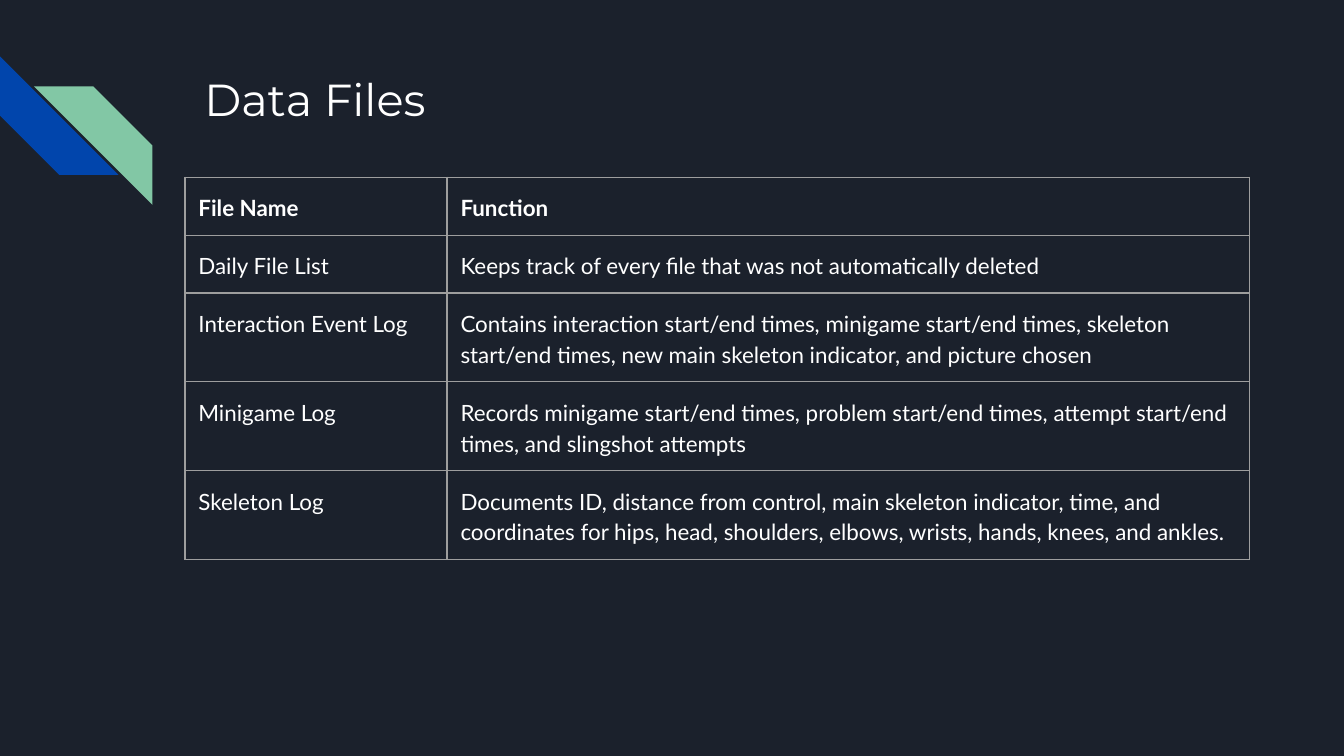
from lxml.etree import SubElement
from pptx import Presentation
from pptx.dml.color import RGBColor
from pptx.enum.shapes import MSO_SHAPE
from pptx.oxml.ns import qn
from pptx.util import Pt

COLORS = {
    "background": "1B212C",
    "blue": "0145AC",
    "green": "82C7A5",
    "text": "FFFFFF",
    "border": "9E9E9E",
}
ROWS = [
    ("File Name", "Function"),
    ("Daily File List", "Keeps track of every file that was not automatically deleted"),
    (
        "Interaction Event Log",
        "Contains interaction start/end times, minigame start/end times, skeleton "
        "start/end times, new main skeleton indicator, and picture chosen",
    ),
    (
        "Minigame Log",
        "Records minigame start/end times, problem start/end times, attempt start/end "
        "times, and slingshot attempts",
    ),
    (
        "Skeleton Log",
        "Documents ID, distance from control, main skeleton indicator, time, and "
        "coordinates for hips, head, shoulders, elbows, wrists, hands, knees, and ankles.",
    ),
]
COLUMN_WIDTHS = [140.4, 429.8]
ROW_HEIGHTS = [31, 31, 47.5, 47.5, 47.5]


class SlideBuilder:
    heading_font = "Montserrat"
    body_font = "Lato"
    inset = Pt(7.2)

    def __init__(self, page):
        self.page = page
        fill = page.background.fill
        fill.solid()
        fill.fore_color.rgb = self.color("background")

    def color(self, name):
        return RGBColor.from_string(COLORS[name])

    def style(self, paragraph, font_name, size, bold=False):
        font = paragraph.font
        font.name = font_name
        font.size = Pt(size)
        font.bold = bold
        font.color.rgb = self.color("text")

    def set_insets(self, holder):
        holder.margin_left = holder.margin_right = self.inset
        holder.margin_top = holder.margin_bottom = self.inset

    def stripe(self, left, top, size, rotation, color):
        shape = self.page.shapes.add_shape(
            MSO_SHAPE.DIAGONAL_STRIPE, Pt(left), Pt(top), Pt(size), Pt(size)
        )
        shape.rotation = rotation
        shape.shadow.inherit = False
        shape.fill.solid()
        shape.fill.fore_color.rgb = self.color(color)
        shape.line.fill.background()

    def title(self, text, left, top, width, height):
        box = self.page.shapes.add_textbox(Pt(left), Pt(top), Pt(width), Pt(height))
        frame = box.text_frame
        frame.word_wrap = True
        self.set_insets(frame)
        frame.text = text
        self.style(frame.paragraphs[0], self.heading_font, 24)

    def border(self, cell):
        properties = cell._tc.get_or_add_tcPr()
        for side in ("a:lnL", "a:lnR", "a:lnT", "a:lnB"):
            line = SubElement(properties, qn(side), w=str(Pt(0.75)))
            fill = SubElement(line, qn("a:solidFill"))
            SubElement(fill, qn("a:srgbClr"), val=COLORS["border"])

    def cell(self, cell, text, bold):
        self.set_insets(cell)
        self.border(cell)
        cell.fill.background()
        cell.text = text
        paragraph = cell.text_frame.paragraphs[0]
        paragraph.line_spacing = 1.15
        paragraph.space_after = Pt(16)
        self.style(paragraph, self.body_font, 12, bold)

    def table(self, rows, left, top, widths, heights):
        table = self.page.shapes.add_table(
            len(rows), len(widths), Pt(left), Pt(top), Pt(sum(widths)), Pt(sum(heights))
        ).table
        table.first_row = table.horz_banding = False
        for column, width in zip(table.columns, widths):
            column.width = Pt(width)
        for row, height in zip(table.rows, heights):
            row.height = Pt(height)
        for row_index, row in enumerate(rows):
            for column_index, text in enumerate(row):
                self.cell(table.cell(row_index, column_index), text, row_index == 0)


def main():
    deck = Presentation()
    deck.slide_width = Pt(720)
    deck.slide_height = Pt(405)
    builder = SlideBuilder(deck.slides.add_slide(deck.slide_layouts[6]))
    builder.stripe(0, 30.2, 63.5, 270, "blue")
    builder.stripe(18.2, 46.3, 63.5, 90, "green")
    builder.title("Data Files", 102.4, 31, 554.4, 72)
    builder.table(ROWS, 99.1, 95, COLUMN_WIDTHS, ROW_HEIGHTS)
    deck.save("out.pptx")


if __name__ == "__main__":
    main()
